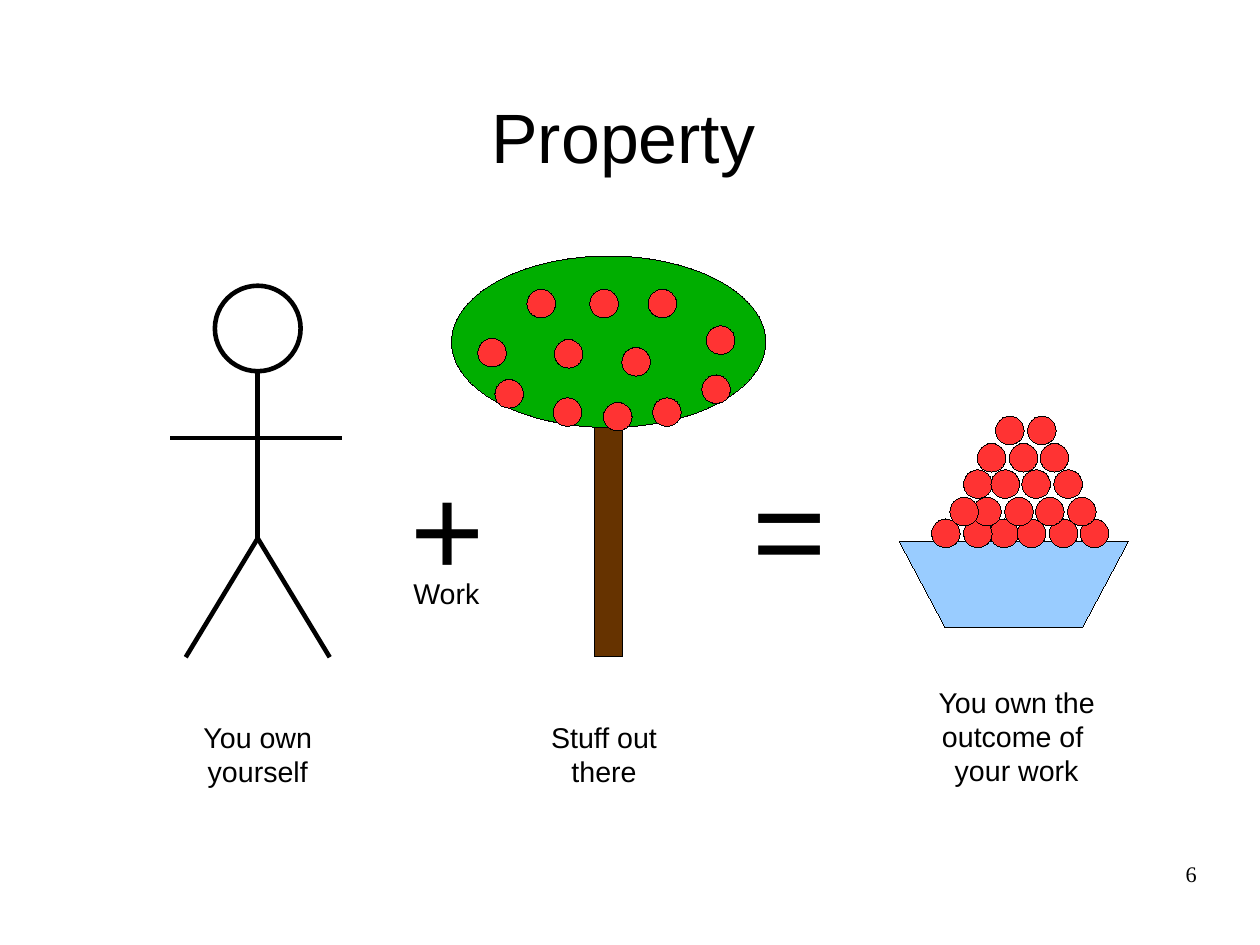
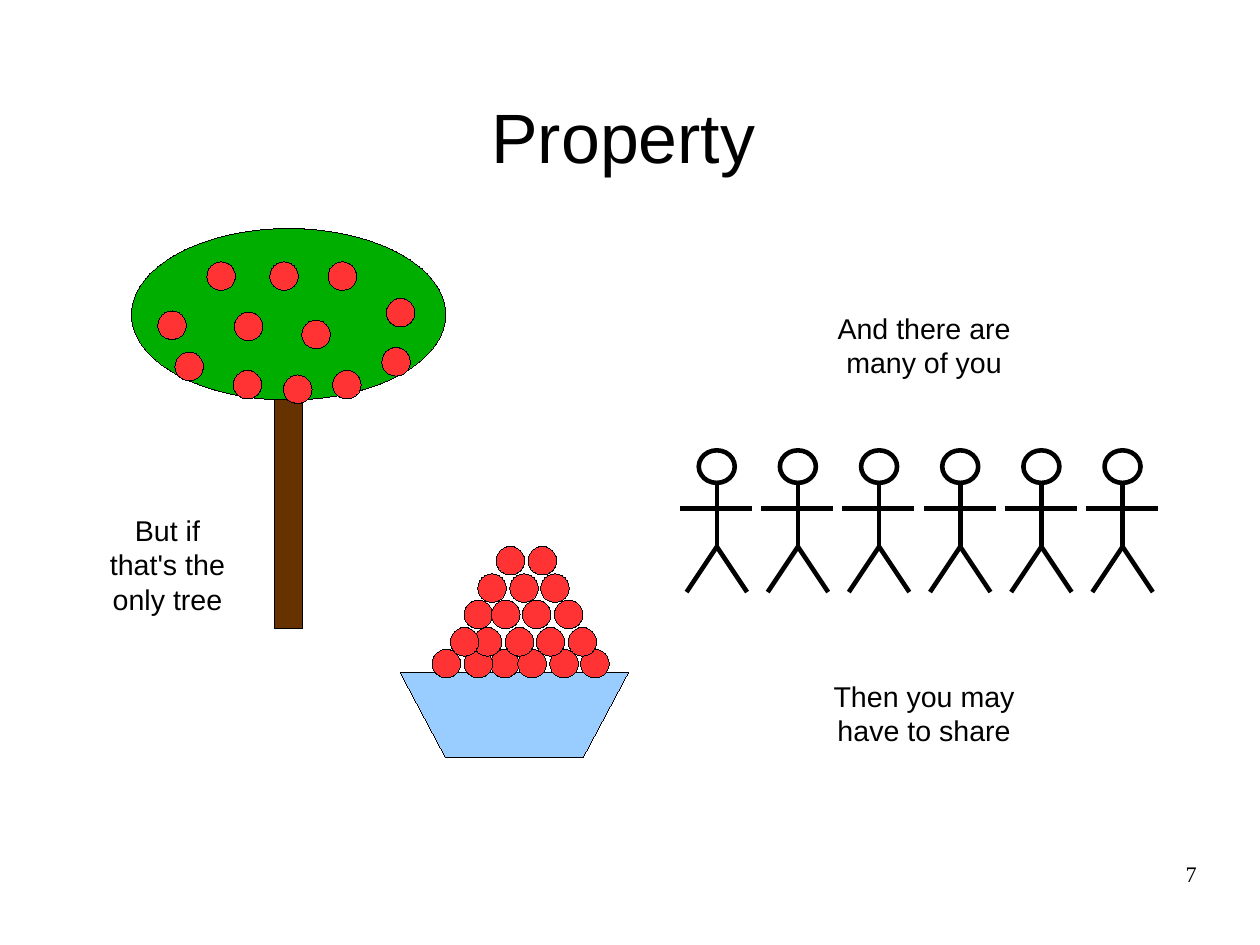
from lxml import etree
from pptx import Presentation
from pptx import util as u
from pptx.dml.color import RGBColor
from pptx.enum import shapes as kinds, text
from pptx.oxml.ns import qn

BLACK, GREEN, BROWN, RED, BLUE = "000000", "00AE00", "663300", "FF3333", "99CCFF"
SANS, SERIF = "Arial", "Times New Roman"
HAIRLINE, LIMB_WIDTH = 0.01, 2.89
APPLE_SIZE = 0.25
TREE_APPLES = [
    (0.23, 0.72), (2.23, 0.61), (0.38, 1.08), (0.89, 1.24), (1.76, 1.24), (2.19, 1.04),
    (1.49, 0.80), (0.90, 0.73), (0.66, 0.29), (1.72, 0.29), (1.33, 1.28), (1.21, 0.29),
]
PILE_ROWS = [
    (-0.20, [0.28, 0.79, 0.56, 1.03, 1.31, 1.58]),
    (-0.39, [1.47, 1.19, 0.92, 0.64, 0.44]),
    (-0.63, [0.56, 0.80, 1.07, 1.35]),
    (-0.86, [1.23, 0.96, 0.68]),
    (-1.10, [0.84, 1.12]),
]


def rgb(value):
    """Turn a hex string into a colour."""
    return RGBColor.from_string(value)


def inches(*lengths):
    """Turn numbers into lengths in inches."""
    return [u.Inches(length) for length in lengths]


def write(frame, words, size, align=text.PP_ALIGN.CENTER, font=SANS, margins=(0, 0)):
    """Fill a text frame and format its runs."""
    frame.word_wrap = True
    frame.margin_left = frame.margin_right = u.Inches(margins[0])
    frame.margin_top = frame.margin_bottom = u.Inches(margins[1])
    frame.text = words
    for paragraph in frame.paragraphs:
        paragraph.alignment = align
        for run in paragraph.runs:
            run.font.size = u.Pt(size)
            run.font.name = font
            run.font.color.rgb = rgb(BLACK)


def add_label(slide, words, left, top, width, height, size=18):
    """Add a centred caption or sign."""
    box = slide.shapes.add_textbox(*inches(left, top, width, height))
    write(box.text_frame, words, size, margins=(0.1, 0.05))


def add_part(group, kind, left, top, width, height, fill=None, line_width=HAIRLINE):
    """Add one outlined piece of a drawing."""
    part = group.shapes.add_shape(kind, *inches(left, top, width, height))
    part.shadow.inherit = False
    if fill:
        part.fill.solid()
        part.fill.fore_color.rgb = rgb(fill)
    else:
        part.fill.background()
    part.line.color.rgb = rgb(BLACK)
    part.line.width = u.Pt(line_width)


def add_limb(group, start, end):
    """Add one straight stroke of a stick figure."""
    limb = group.shapes.add_connector(kinds.MSO_CONNECTOR.STRAIGHT, *inches(*start, *end))
    limb.line.color.rgb = rgb(BLACK)
    limb.line.width = u.Pt(LIMB_WIDTH)
    etree.SubElement(limb.element.spPr, qn("a:effectLst"))


def add_person(group, left, top, width, height):
    """Draw a stick figure scaled to the given box."""
    def at(x, y):
        return left + x * width, top + y * height

    add_part(group, kinds.MSO_SHAPE.OVAL, *at(0.26, 0), 0.5 * width, 0.23 * height,
             line_width=LIMB_WIDTH)
    hip = at(0.51, 0.68)
    for start, end in [
        (at(0.51, 0.23), at(0.51, 0.69)),
        (at(0, 0.41), at(1, 0.41)),
        (at(0.09, 1), hip),
        (at(0.93, 1), hip),
    ]:
        add_limb(group, start, end)


def add_apples(group, left, top, offsets):
    """Draw apples at offsets from a corner."""
    for x, y in offsets:
        add_part(group, kinds.MSO_SHAPE.OVAL, left + x, top + y, APPLE_SIZE, APPLE_SIZE, RED)


def add_tree(slide, left, top):
    """Draw the apple tree."""
    tree = slide.shapes.add_group_shape()
    add_part(tree, kinds.MSO_SHAPE.RECTANGLE, left + 1.25, top + 1.25, 0.25, 2.25, BROWN)
    add_part(tree, kinds.MSO_SHAPE.OVAL, left, top, 2.75, 1.5, GREEN)
    add_apples(tree, left, top, TREE_APPLES)


def add_bowl(slide, left, top):
    """Draw the bowl with its pile of apples."""
    bowl = slide.shapes.add_group_shape()
    add_part(bowl, kinds.MSO_SHAPE.FLOWCHART_MANUAL_OPERATION, left, top, 2, 0.75, BLUE)
    add_apples(bowl, left, top, [(x, y) for y, row in PILE_ROWS for x in row])


def add_page(prs, number):
    """Add a slide with the shared title and page number."""
    slide = prs.slides.add_slide(prs.slide_layouts[5])
    title = slide.shapes.title
    title.left, title.top, title.width, title.height = inches(0.58, 0.55, 9.92, 1.28)
    write(title.text_frame, "Property ", 44)
    title.text_frame.vertical_anchor = text.MSO_ANCHOR.MIDDLE
    footer = slide.shapes.add_textbox(*inches(7.9, 7.53, 2.57, 0.57))
    write(footer.text_frame, str(number), 14, text.PP_ALIGN.RIGHT, SERIF)
    return slide


def build_work_slide(prs):
    """Show that a person plus a tree gives a harvest."""
    slide = add_page(prs, 6)
    add_person(slide.shapes.add_group_shape(), 1.49, 2.5, 1.5, 3.25)
    add_label(slide, "You own\nyourself", 1.63, 6.25, 1.25, 0.66)
    add_label(slide, "Stuff out there", 4.66, 6.25, 1.25, 0.66)
    for sign, left in [("+", 3.49), ("=", 6.48)]:
        add_label(slide, sign, left, 3.88, 0.85, 1.34, size=80)
    add_label(slide, "Work", 3.28, 4.99, 1.25, 0.38)
    add_tree(slide, 3.95, 2.24)
    add_bowl(slide, 7.87, 4.74)
    add_label(slide, "You own the outcome of \nyour work", 7.73, 5.94, 2.33, 0.94)


def build_share_slide(prs):
    """Show many people sharing a single tree."""
    slide = add_page(prs, 7)
    add_label(slide, "But if that's the only tree", 0.84, 4.44, 1.25, 0.94)
    add_tree(slide, 1.15, 2)
    add_bowl(slide, 3.5, 5.88)
    add_label(slide, "Then you may have to share", 6.92, 5.89, 2.33, 0.66)
    crowd = slide.shapes.add_group_shape()
    for place in range(6):
        add_person(crowd, 5.95 + 0.71 * place, 3.94, 0.63, 1.24)
    add_label(slide, "And there are many of you", 6.92, 2.67, 2.33, 0.66)


def main():
    """Build and save the presentation."""
    prs = Presentation()
    prs.slide_width = u.Mm(280)
    prs.slide_height = u.Mm(210)
    build_work_slide(prs)
    build_share_slide(prs)
    prs.save("out.pptx")


if __name__ == "__main__":
    main()
